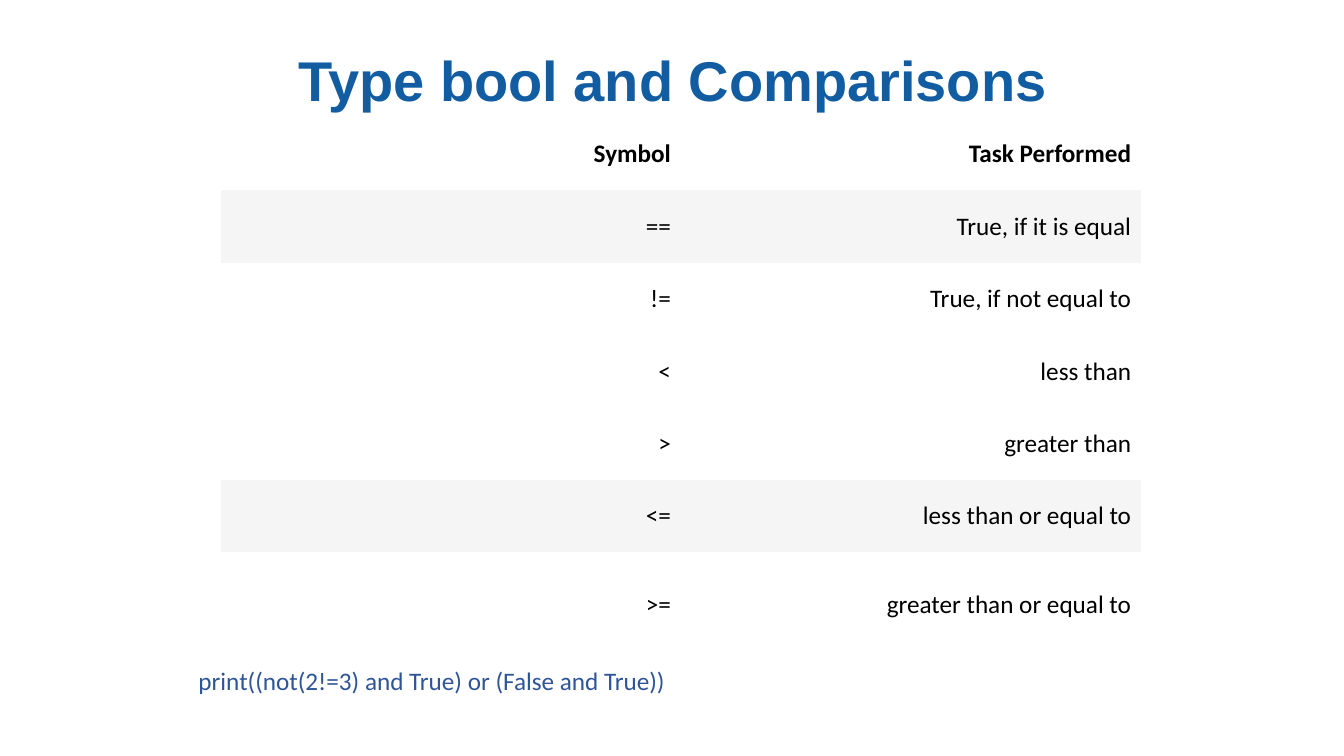
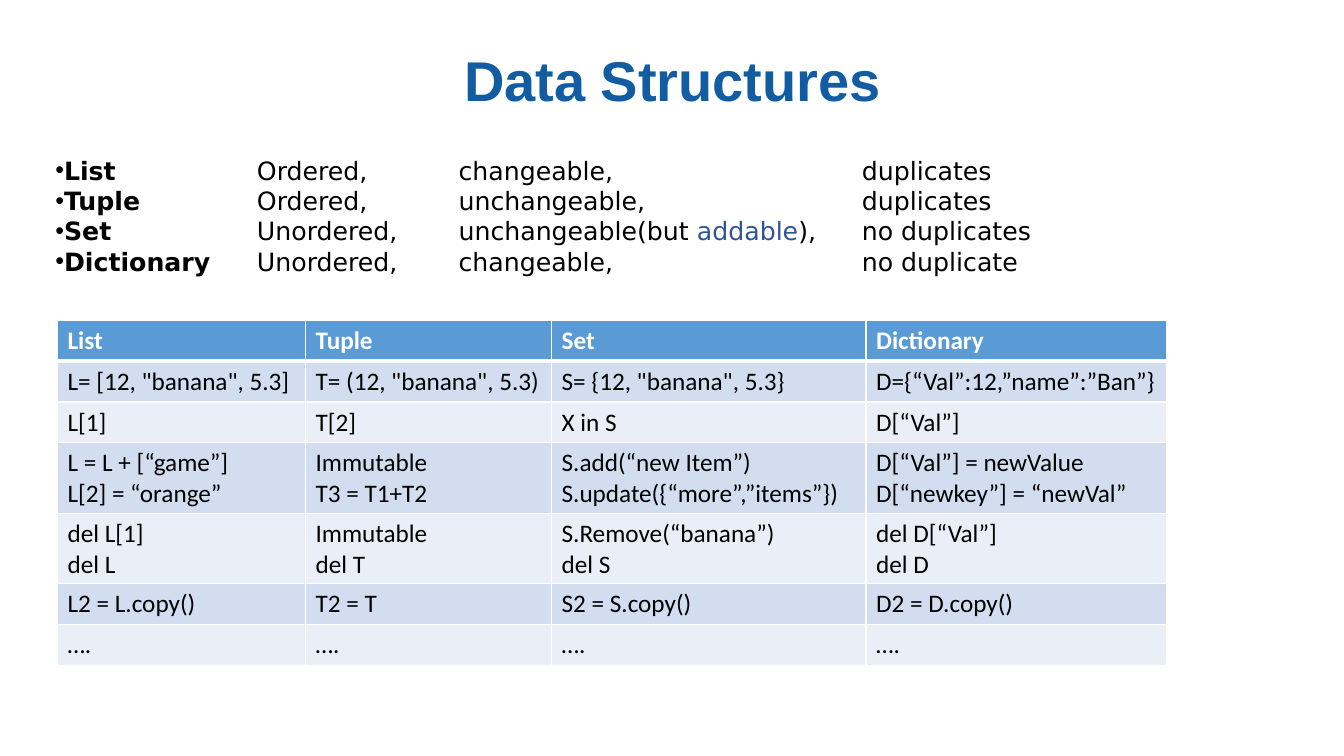
import pptx
import pptx.dml.color
import pptx.enum.text
import pptx.oxml.ns
import pptx.util
import lxml.etree

SLIDE_WIDTH = pptx.util.Inches(13.33)
SLIDE_HEIGHT = pptx.util.Inches(7.5)
TITLE_BLUE, ACCENT_BLUE, HEADER_BLUE = "125DA2", "2F5597", "5B9BD5"
BLACK, WHITE, STRIPE_GRAY = "000000", "FFFFFF", "F5F5F5"
BANDS = ["D2DEEF", "EAEFF7"]
TITLE_FONT, BODY_FONT, LIST_FONT = "Arial", "Calibri", "DejaVu Sans"
TITLE_BOX = (6.9, 5.33, 86.27, 11.33)
ALIGN = pptx.enum.text.PP_ALIGN
ANCHOR = pptx.enum.text.MSO_ANCHOR

COMPARISONS = [
    ["Symbol", "Task Performed"],
    ["==", "True, if it is equal"],
    ["!=", "True, if not equal to"],
    ["<", "less than"],
    [">", "greater than"],
    ["<=", "less than or equal to"],
    [">=", "greater than or equal to"],
]
STRIPED_ROWS = (1, 5)
PROPERTIES = [
    ["List", "Ordered,", "changeable,", "duplicates"],
    ["Tuple", "Ordered,", "unchangeable,", "duplicates"],
    ["Set", "Unordered,", "unchangeable(but addable),", "no duplicates"],
    ["Dictionary", "Unordered,", "changeable,", "no duplicate"],
]
HIGHLIGHT = "addable"
OPERATIONS = [
    ["List", "Tuple", "Set", "Dictionary"],
    ['L= [12, "banana", 5.3]', 'T= (12, "banana", 5.3)',
     'S= {12, "banana", 5.3}', "D={“Val”:12,”name”:”Ban”}"],
    ["L[1]", "T[2]", "X in S", "D[“Val”]"],
    [["L = L + [“game”]", "L[2] = “orange”"],
     ["Immutable", "T3 = T1+T2"],
     ["S.add(“new Item”)", "S.update({“more”,”items”})"],
     ["D[“Val”] = newValue", "D[“newkey”] = “newVal”"]],
    [["del L[1]", "del L"], ["Immutable", "del T"],
     ["S.Remove(“banana”)", "del S"], ["del D[“Val”]", "del D"]],
    ["L2 = L.copy()", "T2 = T", "S2 = S.copy()", "D2 = D.copy()"],
    ["…."] * 4,
]


def rgb(color):
    """Turn a hex string into a colour."""
    return pptx.dml.color.RGBColor.from_string(color)


def place(box):
    """Turn a box in percent of the slide into lengths."""
    sides = (SLIDE_WIDTH, SLIDE_HEIGHT) * 2
    return [pptx.util.Emu(round(share * side / 100)) for share, side in zip(box, sides)]


def add_element(parent, tag, **attributes):
    """Append a drawing element to its parent."""
    return lxml.etree.SubElement(parent, pptx.oxml.ns.qn(tag), **attributes)


def add_run(paragraph, text, color=BLACK, bold=False, font=BODY_FONT, size=18):
    """Append one formatted run."""
    run = paragraph.add_run()
    run.text = text
    run.font.name = font
    run.font.size = pptx.util.Pt(size)
    run.font.bold = bold
    run.font.color.rgb = rgb(color)


def get_paragraph(frame, index):
    """Return the first paragraph or append another one."""
    return frame.add_paragraph() if index else frame.paragraphs[0]


def add_titled_slide(presentation, title):
    """Add a title-only slide with the shared title style."""
    slide = presentation.slides.add_slide(presentation.slide_layouts[5])
    shape = slide.shapes.title
    shape.left, shape.top, shape.width, shape.height = place(TITLE_BOX)
    frame = shape.text_frame
    frame.auto_size = pptx.enum.text.MSO_AUTO_SIZE.NONE
    frame.vertical_anchor = ANCHOR.MIDDLE
    paragraph = frame.paragraphs[0]
    paragraph.alignment = ALIGN.CENTER
    paragraph.line_spacing = 0.9
    add_run(paragraph, title, TITLE_BLUE, True, TITLE_FONT, 40)
    return slide


def set_borders(cell, color, top=1, bottom=1):
    """Draw the four cell borders, or none when there is no colour."""
    properties = cell._tc.get_or_add_tcPr()
    for tag, points in (("a:lnL", 1), ("a:lnR", 1), ("a:lnT", top), ("a:lnB", bottom)):
        line = add_element(properties, tag, w=str(pptx.util.Pt(points)))
        if color:
            fill = add_element(line, "a:solidFill")
            add_element(fill, "a:srgbClr", val=color)
        else:
            add_element(line, "a:noFill")


def add_grid(slide, box, rows, column_weights, row_weights, fills,
             header_color=BLACK, border=None, alignment=ALIGN.LEFT, anchor=ANCHOR.TOP):
    """Add a table whose columns and rows share the box by weight."""
    left, top, width, height = place(box)
    table = slide.shapes.add_table(len(rows), len(rows[0]), left, top, width, height).table
    for column, weight in zip(table.columns, column_weights):
        column.width = round(width * weight / sum(column_weights))
    for row, weight in zip(table.rows, row_weights):
        row.height = round(height * weight / sum(row_weights))
    for row_index, row in enumerate(rows):
        header = row_index == 0
        for column_index, content in enumerate(row):
            cell = table.cell(row_index, column_index)
            set_borders(cell, border, 3 if row_index == 1 else 1, 3 if header else 1)
            if fills[row_index]:
                cell.fill.solid()
                cell.fill.fore_color.rgb = rgb(fills[row_index])
            else:
                cell.fill.background()
            cell.vertical_anchor = anchor
            lines = [content] if isinstance(content, str) else content
            for index, line in enumerate(lines):
                paragraph = get_paragraph(cell.text_frame, index)
                paragraph.alignment = alignment
                add_run(paragraph, line, header_color if header else BLACK, header)


def add_expression(slide, box, text):
    """Add one unwrapped line of code."""
    frame = slide.shapes.add_textbox(*place(box)).text_frame
    frame.word_wrap = False
    add_run(frame.paragraphs[0], text, ACCENT_BLUE)


def add_property_list(slide, box, rows, stops):
    """Add bulleted rows whose values line up on tab stops."""
    frame = slide.shapes.add_textbox(*place(box)).text_frame
    frame.word_wrap = True
    for index, (name, *values) in enumerate(rows):
        paragraph = get_paragraph(frame, index)
        properties = paragraph._p.get_or_add_pPr()
        add_element(properties, "a:buFont", typeface="Arial")
        add_element(properties, "a:buChar", char="•")
        tabs = add_element(properties, "a:tabLst")
        for stop in stops:
            add_element(tabs, "a:tab", pos=str(pptx.util.Inches(stop)), algn="l")
        add_run(paragraph, name, bold=True, font=LIST_FONT)
        before, word, after = "".join("\t" + value for value in values).partition(HIGHLIGHT)
        for text, color in ((before, BLACK), (word, ACCENT_BLUE), (after, BLACK)):
            if text:
                add_run(paragraph, text, color, font=LIST_FONT)


def build_comparisons(presentation):
    """Build the slide on comparison symbols."""
    slide = add_titled_slide(presentation, "Type bool and Comparisons")
    fills = [STRIPE_GRAY if index in STRIPED_ROWS else None for index in range(len(COMPARISONS))]
    add_grid(slide, (16.43, 15.6, 68.49, 71.33), COMPARISONS, [1, 1], [0.72] * 6 + [1.04],
             fills, alignment=ALIGN.RIGHT, anchor=ANCHOR.MIDDLE)
    add_expression(slide, (14.03, 87.33, 36.68, 5.33),
                   "print((not(2!=3) and True) or (False and True))")


def build_data_structures(presentation):
    """Build the slide that compares the data structures."""
    slide = add_titled_slide(presentation, "Data Structures")
    add_property_list(slide, (3.38, 19.87, 92.87, 17.47), PROPERTIES, (2, 4, 8))
    add_grid(slide, (4.28, 42.4, 82.52, 45.6), OPERATIONS, [2.46, 2.44, 3.12, 2.98],
             [0.41] * 3 + [0.71] * 2 + [0.41] * 2, [HEADER_BLUE] + BANDS * 3,
             header_color=WHITE, border=WHITE)


def main():
    """Build and save the presentation."""
    presentation = pptx.Presentation()
    presentation.slide_width = SLIDE_WIDTH
    presentation.slide_height = SLIDE_HEIGHT
    build_comparisons(presentation)
    build_data_structures(presentation)
    presentation.save("out.pptx")


if __name__ == "__main__":
    main()
